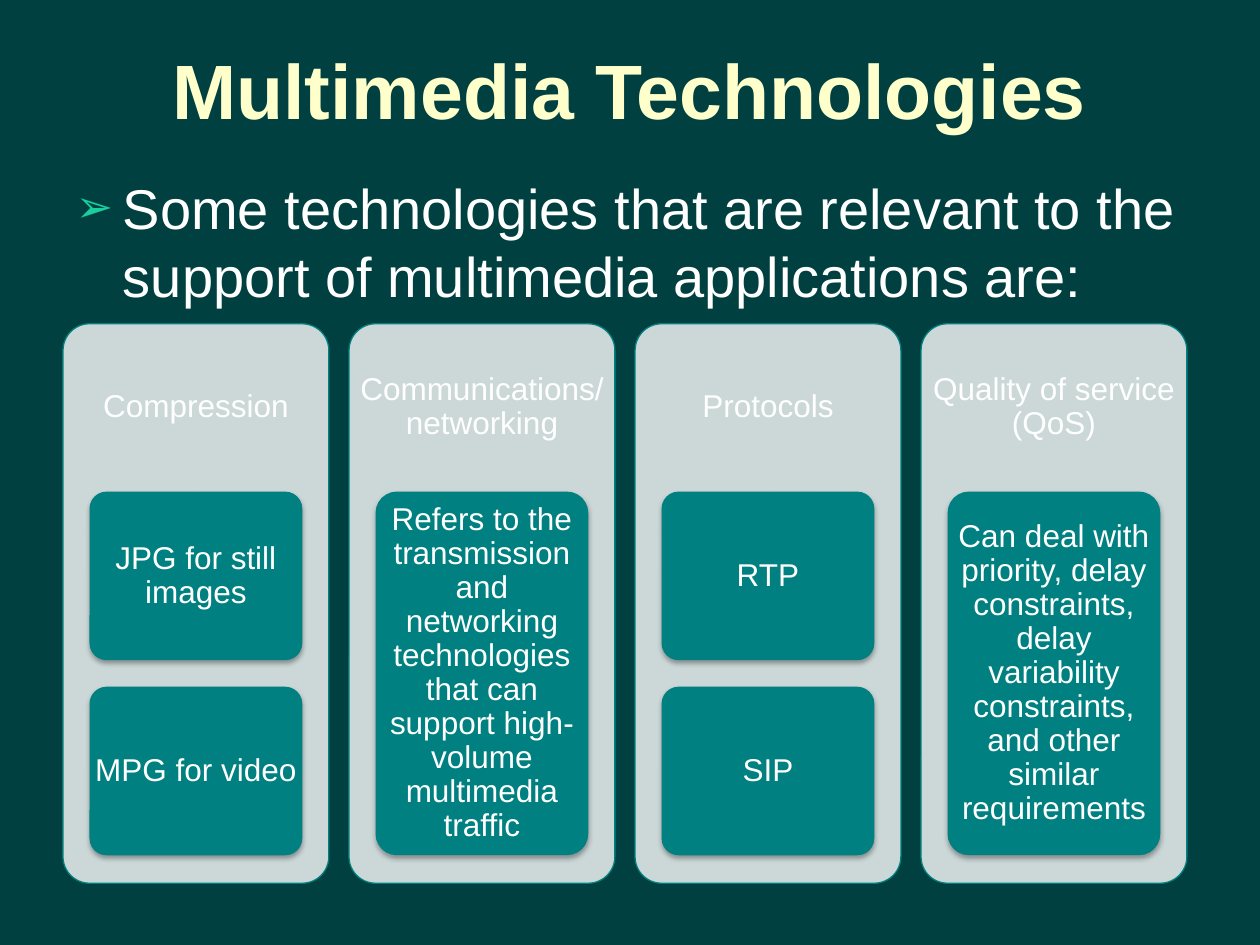
from lxml import etree
from pptx import Presentation, util as u
from pptx.dml.color import RGBColor
from pptx.enum import shapes, text
from pptx.oxml import parse_xml
from pptx.oxml.ns import qn

TITLE = "Multimedia Technologies"
INTRO = "Some technologies that are relevant to the support of multimedia applications are:"
COLUMNS = [
    ("Compression", ["JPG for still images", "MPG for video"]),
    ("Communications/networking", [
        "Refers to the transmission and networking technologies that can "
        "support high-volume multimedia traffic"]),
    ("Protocols", ["RTP", "SIP"]),
    ("Quality of service (QoS)", [
        "Can deal with priority, delay constraints, delay variability "
        "constraints, and other similar requirements"]),
]

NIGHT = RGBColor(0x00, 0x40, 0x40)
CREAM = RGBColor(0xFF, 0xFF, 0xCC)
WHITE = RGBColor(0xFF, 0xFF, 0xFF)
MIST = RGBColor(0xCC, 0xD8, 0xD8)
TEAL = RGBColor(0x00, 0x80, 0x80)
MINT = RGBColor(0x1A, 0xCE, 0x9F)

LEFT, TOP, PITCH = 0.5, 2.57, 2.27
PANEL_W, PANEL_H = 2.11, 4.44
HEAD_H = PANEL_H * 0.3
STACK_H = PANEL_H * 0.65
PAD = PANEL_W * 0.1

A = "http://schemas.openxmlformats.org/drawingml/2006/main"
SHADOW = (
    f'<a:effectLst xmlns:a="{A}"><a:outerShdw blurRad="{u.Pt(3.1)}" '
    f'dist="{u.Pt(1.8)}" dir="5400000" rotWithShape="0">'
    '<a:srgbClr val="000000"><a:alpha val="35000"/></a:srgbClr>'
    '</a:outerShdw></a:effectLst>'
)


def inches(*box):
    return [u.Inches(v) for v in box]


def apply(obj, values):
    for name, value in values.items():
        setattr(obj, name, value)


def write(sp, words, size, color, inset=None, para=None, bold=False,
          anchor=text.MSO_ANCHOR.MIDDLE):
    tf = sp.text_frame
    apply(tf, dict(word_wrap=True, auto_size=text.MSO_AUTO_SIZE.NONE,
                   vertical_anchor=anchor))
    if inset is not None:
        for side in ("left", "top", "right", "bottom"):
            setattr(tf, f"margin_{side}", u.Inches(inset))
    p = tf.paragraphs[0]
    apply(p, para or {"alignment": text.PP_ALIGN.CENTER})
    r = p.add_run()
    r.text = words
    apply(r.font, dict(name="Arial", size=u.Pt(size), bold=bold))
    r.font.color.rgb = color
    return p


def add_bullet(p):
    pPr = p._p.get_or_add_pPr()
    pPr.set("marL", str(u.Inches(0.375)))
    pPr.set("indent", str(u.Inches(-0.375)))
    color = etree.SubElement(pPr, qn("a:buClr"))
    etree.SubElement(color, qn("a:srgbClr"), val=str(MINT))
    etree.SubElement(pPr, qn("a:buSzPct"), val="80000")
    etree.SubElement(pPr, qn("a:buFont"), typeface="Arial")
    etree.SubElement(pPr, qn("a:buChar"), char="➢")


def add_round(group, box, fill):
    sp = group.shapes.add_shape(shapes.MSO_SHAPE.ROUNDED_RECTANGLE, *inches(*box))
    sp.adjustments[0] = 0.1
    sp.shadow.inherit = False
    sp.fill.solid()
    sp.fill.fore_color.rgb = fill
    return sp


def add_column(group, x, heading, cards):
    panel = add_round(group, (x, TOP, PANEL_W, PANEL_H), MIST)
    panel.line.color.rgb = TEAL
    panel.line.width = u.Pt(0.75)
    head = group.shapes.add_textbox(*inches(x, TOP, PANEL_W, HEAD_H))
    tight = dict(alignment=text.PP_ALIGN.CENTER, line_spacing=0.9)
    write(head, heading, 18, WHITE, 0.07, tight)
    card_h = (STACK_H - PAD * (len(cards) - 1)) / len(cards)
    for i, words in enumerate(cards):
        y = TOP + HEAD_H + i * (card_h + PAD)
        card = add_round(group, (x + PAD, y, PANEL_W - 2 * PAD, card_h), TEAL)
        card.line.fill.background()
        spPr = card._element.spPr
        spPr.replace(spPr.find(qn("a:effectLst")), parse_xml(SHADOW))
        write(card, words, 18, WHITE, 0, tight)


def main():
    prs = Presentation()
    prs.slide_width, prs.slide_height = inches(10, 7.5)
    s = prs.slides.add_slide(prs.slide_layouts[1])
    s.background.fill.solid()
    s.background.fill.fore_color.rgb = NIGHT

    title, body = s.shapes.title, s.placeholders[1]
    for sp, box in ((title, (0.5, 0.08, 9, 1.25)), (body, (0.5, 1.33, 9, 1.08))):
        apply(sp, dict(zip(("left", "top", "width", "height"), inches(*box))))
    write(title, TITLE, 44, CREAM, bold=True)
    p = write(body, INTRO, 32, WHITE, anchor=text.MSO_ANCHOR.TOP,
              para=dict(alignment=text.PP_ALIGN.LEFT, space_before=u.Pt(6.4)))
    add_bullet(p)

    group = s.shapes.add_group_shape()
    for i, (heading, cards) in enumerate(COLUMNS):
        add_column(group, LEFT + i * PITCH, heading, cards)
    prs.save("out.pptx")


if __name__ == "__main__":
    main()
